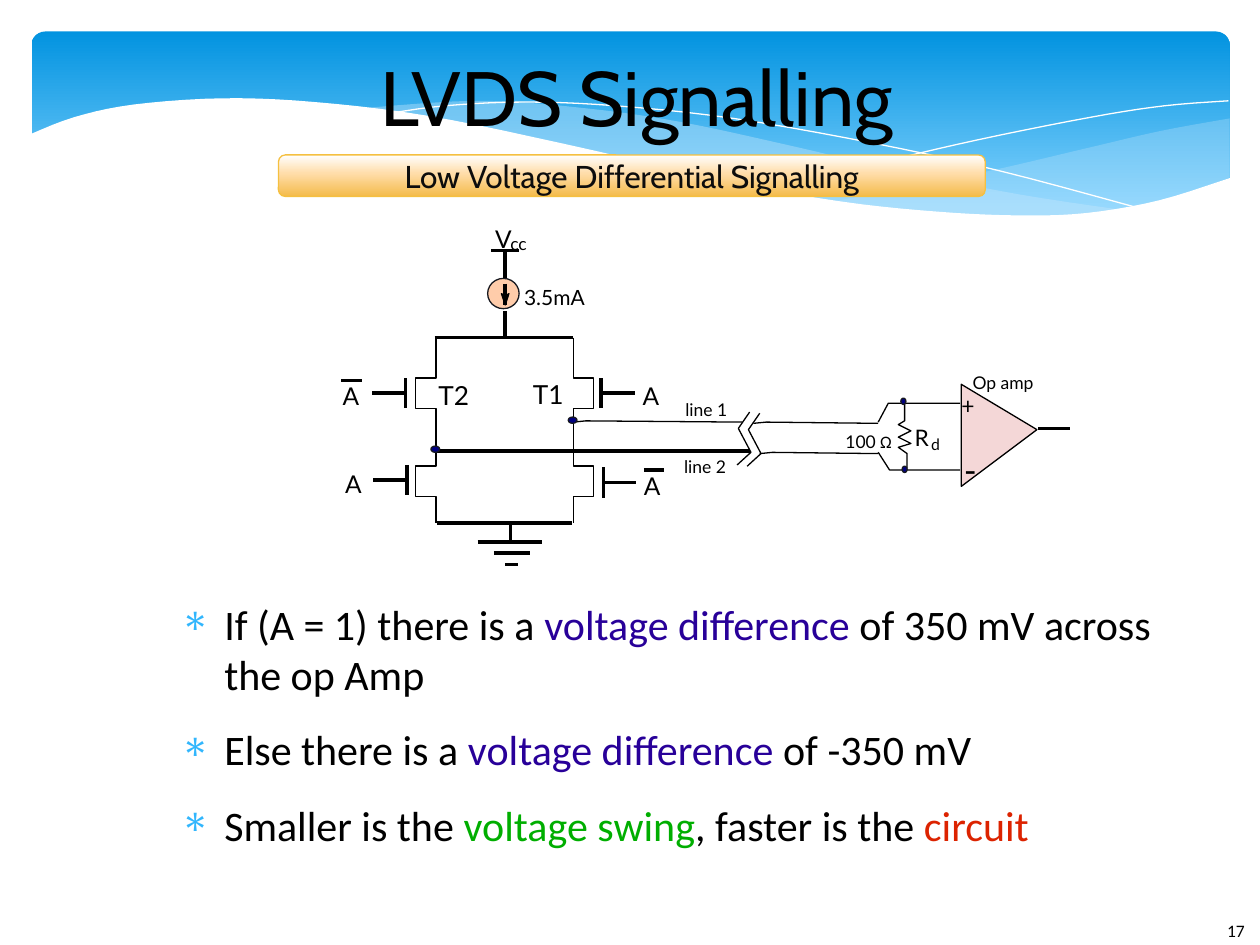
from dataclasses import dataclass

import pptx
import pptx.dml.color
import pptx.enum.shapes
import pptx.enum.text
import pptx.oxml
import pptx.oxml.ns
import pptx.util

Inches = pptx.util.Inches
Pt = pptx.util.Pt
SHAPE = pptx.enum.shapes.MSO_SHAPE
ALIGN = pptx.enum.text.PP_ALIGN
ANCHOR = pptx.enum.text.MSO_ANCHOR
Point = tuple[float, float]
Box = tuple[float, float, float, float]

COLORS = {
    "black": "000000", "white": "FFFFFF", "ink": "0D0D0D", "edge": "16181F",
    "wave": "C6E7FC", "sky": "83D3FE", "blue": "0293E0", "bullet": "31B6FD",
    "violet": "280099", "green": "00AE00", "red": "DC2300",
    "peach": "FFCCAA", "navy": "000080", "pink": "F4D7D7",
    "cream": "FFDDAA", "amber": "F4BB4A", "gold": "F5C040",
}


@dataclass
class Run:
    text: str
    size: float
    font: str = "Lato"
    color: str = "black"


@dataclass
class Label:
    x: float
    y: float
    w: float
    h: float
    runs: list[Run]


@dataclass
class Wave:
    points: list[Point]
    opacity: int


def rgb(name: str) -> pptx.dml.color.RGBColor:
    return pptx.dml.color.RGBColor.from_string(COLORS[name])


def paint(s, fill: str | None, line: str | None, width: float = 0) -> None:
    s.shadow.inherit = False
    if fill:
        s.fill.solid()
        s.fill.fore_color.rgb = rgb(fill)
    else:
        s.fill.background()
    if line:
        s.line.color.rgb = rgb(line)
        s.line.width = Pt(width)
    else:
        s.line.fill.background()


def gradient(s, stops: list[tuple[int, str]]) -> None:
    s.fill.gradient()
    s.fill.gradient_angle = 270
    gs_list = s._element.spPr.find(".//" + pptx.oxml.ns.qn("a:gsLst"))
    for gs in list(gs_list):
        gs_list.remove(gs)
    for pos, color in stops:
        gs_list.append(pptx.oxml.parse_xml(
            f'<a:gs {pptx.oxml.ns.nsdecls("a")} pos="{pos * 1000}">'
            f'<a:srgbClr val="{COLORS[color]}"/></a:gs>'))


def add_shape(shapes, kind, box: Box, fill: str | None, line: str | None, width: float = 0):
    s = shapes.add_shape(kind, *map(Inches, box))
    paint(s, fill, line, width)
    return s


def add_path(shapes, points: list[Point], fill: str | None, line: str | None, closed: bool):
    emu = [(Inches(x), Inches(y)) for x, y in points]
    builder = shapes.build_freeform(*emu[0])
    builder.add_line_segments(emu[1:], close=closed)
    s = builder.convert_to_shape()
    paint(s, fill, line)
    return s


def add_wire(shapes, points: list[Point], color: str = "black") -> None:
    if len(points) > 2:
        add_path(shapes, points, None, color, False)
        return
    (x1, y1), (x2, y2) = points
    s = shapes.add_connector(pptx.enum.shapes.MSO_CONNECTOR.STRAIGHT,
                             Inches(x1), Inches(y1), Inches(x2), Inches(y2))
    s.line.color.rgb = rgb(color)
    s.line.width = Pt(0)
    s._element.spPr.append(pptx.oxml.parse_xml(f'<a:effectLst {pptx.oxml.ns.nsdecls("a")}/>'))


def smooth(points: list[Point], steps: int = 5) -> list[Point]:
    padded = [points[0], *points, points[-1]]
    result = [points[0]]
    for a, b, c, d in zip(padded, padded[1:], padded[2:], padded[3:]):
        for i in range(1, steps + 1):
            t = i / steps
            result.append(tuple(
                0.5 * (2 * q + (r - p) * t + (2 * p - 5 * q + 4 * r - v) * t ** 2
                       + (3 * q - p - 3 * r + v) * t ** 3)
                for p, q, r, v in zip(a, b, c, d)))
    return result


def add_runs(p, runs: list[Run]) -> None:
    for run in runs:
        r = p.add_run()
        r.text = run.text
        r.font.size = Pt(run.size)
        r.font.name = run.font
        r.font.color.rgb = rgb(run.color)


def add_text(shapes, box: Box, wrap: bool = True, inset: float = 0):
    tf = shapes.add_textbox(*map(Inches, box)).text_frame
    tf.word_wrap = wrap
    tf.margin_left = tf.margin_right = Inches(inset)
    tf.margin_top = tf.margin_bottom = Inches(inset / 2)
    return tf


def add_label(shapes, label: Label) -> None:
    tf = add_text(shapes, (label.x, label.y, label.w, label.h), wrap=False)
    tf.auto_size = pptx.enum.text.MSO_AUTO_SIZE.SHAPE_TO_FIT_TEXT
    add_runs(tf.paragraphs[0], label.runs)


def add_bullet(p, runs: list[Run]) -> None:
    p.space_after = Pt(14.1)
    add_runs(p, runs)
    ppr = p._p.get_or_add_pPr()
    ppr.set("marL", str(Inches(0.47)))
    ppr.set("indent", str(Inches(-0.35)))
    ns = pptx.oxml.ns.nsdecls("a")
    ppr.append(pptx.oxml.parse_xml(
        f'<a:buClr {ns}><a:srgbClr val="{COLORS["bullet"]}"/></a:buClr>'))
    ppr.append(pptx.oxml.parse_xml(f'<a:buChar {ns} char="∗"/>'))


WAVES = [
    Wave(smooth([(9.76, 0.94), (9.21, 1.04), (8.61, 1.18), (7.79, 1.37), (6.61, 1.6)])
         + smooth([(6.61, 1.6), (7.32, 1.68), (8.03, 1.72), (8.63, 1.7), (9.21, 1.6), (9.76, 1.41)]), 29),
    Wave(smooth([(8.93, 1.67), (8.07, 1.54), (7.06, 1.34), (6.29, 1.16), (5.41, 0.97),
                 (4.65, 0.86), (3.8, 0.8), (2.86, 0.86)])
         + smooth([(2.86, 0.86), (3.62, 0.97), (4.49, 1.16), (5.66, 1.43), (6.65, 1.61),
                   (7.48, 1.7), (8.18, 1.73), (8.93, 1.67)]), 40),
]
STREAKS = [
    [(3.09, 0.9), (3.53, 0.84), (4.16, 0.81), (4.89, 0.84), (5.82, 0.94),
     (6.95, 1.14), (7.95, 1.36), (9.07, 1.66)],
    [(6.13, 1.51), (6.95, 1.3), (7.76, 1.11), (8.66, 0.93), (9.24, 0.84), (9.75, 0.8)],
]
HORIZON = [(9.77, 1.41), (9.2, 1.59), (8.63, 1.69), (8.09, 1.71), (7.44, 1.68), (6.68, 1.6),
           (5.79, 1.44), (4.47, 1.14), (3.4, 0.92), (2.5, 0.81), (1.77, 0.78), (1.06, 0.83),
           (0.59, 0.93), (0.23, 1.07)]

RAILS = [
    [(3.9, 1.99), (4.12, 1.99)], [(4.01, 2), (4.01, 2.21)], [(4.01, 2.25), (4.01, 2.42)],
    [(4.01, 2.47), (4.01, 2.67)], [(3.45, 2.68), (4.55, 2.68)], [(3.47, 4.15), (4.54, 4.15)],
    [(4.05, 4.15), (4.05, 4.31)], [(3.79, 4.3), (4.3, 4.3)], [(3.92, 4.39), (4.21, 4.39)],
    [(4.01, 4.48), (4.11, 4.48)],
]
BRANCHES = [
    [(x, 2.68), (x, 3), (gate, 3), (gate, 3.24), (x, 3.24), (x, 3.7),
     (gate, 3.7), (gate, 3.94), (x, 3.94), (x, 4.15)]
    for x, gate in [(3.46, 3.3), (4.55, 4.71)]
]
GATES = [
    wire
    for x, y, end in [(3.22, 3, 2.95), (3.23, 3.69, 2.96), (4.77, 3, 5.04), (4.79, 3.71, 5.05)]
    for wire in ([(x, y), (x, y + 0.24)], [(x, y + 0.12), (end, y + 0.12)])
]
BREAKS = [
    [(5.95 + d, 3.27 + d / 8), (5.86 + d, 3.4 + d / 8), (5.96 + d, 3.59 + d / 8), (5.85 + d, 3.69 + d / 8)]
    for d in (0, 0.08)
]
LINES = [
    [(4.55, 3.35), (4.65, 3.34), (5.89, 3.35)], [(3.46, 3.58), (5.95, 3.58)],
    [(5.98, 3.36), (6.08, 3.35), (6.97, 3.36)], [(6.03, 3.6), (6.13, 3.59), (6.97, 3.6)],
    [(6.97, 3.35), (7.05, 3.2), (7.62, 3.2)], [(6.97, 3.59), (7.06, 3.73), (7.62, 3.73)],
    [(7.18, 3.2), (7.18, 3.34), (7.13, 3.37), (7.23, 3.42), (7.13, 3.47), (7.23, 3.52),
     (7.13, 3.55), (7.2, 3.6), (7.2, 3.72)],
    [(8.24, 3.4), (8.49, 3.4)],
]
OVERBARS = [[(x, y), (x + 0.16, y)] for x, y in [(2.71, 3.02), (5.11, 3.73)]]
DOTS = [(3.42, 3.54, 0.07, 0.05), (4.51, 3.31, 0.07, 0.05),
        (7.15, 3.16, 0.04, 0.05), (7.16, 3.7, 0.04, 0.05)]
LABELS = [
    Label(3.93, 1.78, 0.22, 0.26, [Run("V", 14)]),
    Label(4.05, 1.85, 0.2, 0.18, [Run("cc", 10)]),
    Label(4.16, 2.26, 0.6, 0.24, [Run("3.5mA", 12)]),
    *[Label(x, y, 0.23, 0.28, [Run("A", 14)])
      for x, y in [(2.72, 3.02), (5.11, 3.74), (5.1, 3.02), (2.74, 3.72)]],
    Label(7.63, 3.11, 0.19, 0.24, [Run("+", 13)]),
    Label(7.65, 3.56, 0.23, 0.39, [Run("-", 20)]),
    Label(7.72, 2.95, 0.55, 0.18, [Run("Op amp", 10)]),
    Label(6.71, 3.42, 0.38, 0.17, [Run("100 ", 10), Run("Ω", 10, "Calibri")]),
    Label(5.44, 3.17, 0.43, 0.21, [Run("line 1", 10)]),
    Label(5.43, 3.62, 0.43, 0.21, [Run("line 2", 10)]),
    Label(4.23, 3, 0.36, 0.3, [Run("T1", 15)]),
    Label(3.48, 3.01, 0.36, 0.3, [Run("T2", 15)]),
    Label(7.26, 3.36, 0.21, 0.24, [Run("R", 13)]),
    Label(7.39, 3.45, 0.13, 0.17, [Run("d", 9)]),
]
BULLETS = [
    [("If (A = 1) there is a", "black"), (" voltage difference", "violet"),
     (" of 350 mV across the op Amp", "black")],
    [("Else there is a ", "black"), ("voltage difference", "violet"), (" of -350 mV", "black")],
    [("Smaller is the ", "black"), ("voltage swing", "green"), (", faster is the ", "black"),
     ("circuit", "red")],
]


def draw_banner(shapes) -> None:
    s = add_shape(shapes, SHAPE.ROUNDED_RECTANGLE, (0.25, 0.25, 9.51, 1.56), None, None)
    s.adjustments[0] = 0.07
    gradient(s, [(0, "blue"), (90, "sky")])
    for wave in WAVES:
        s = add_path(shapes, wave.points, "wave", None, True)
        color = s._element.spPr.find(".//" + pptx.oxml.ns.qn("a:srgbClr"))
        color.append(pptx.oxml.parse_xml(
            f'<a:alpha {pptx.oxml.ns.nsdecls("a")} val="{wave.opacity * 1000}"/>'))
    for streak in STREAKS:
        add_wire(shapes, smooth(streak), "white")
    add_path(shapes, smooth(HORIZON) + [(0.23, 2.24), (9.77, 2.24)], "white", None, True)


def draw_circuit(shapes) -> None:
    add_shape(shapes, SHAPE.OVAL, (3.87, 2.21, 0.25, 0.24), "peach", "edge")
    add_path(shapes, [(4.01, 2.35), (3.98, 2.33), (4.01, 2.42), (4.04, 2.33)], "black", "black", True)
    add_path(shapes, [(7.63, 3.05), (7.63, 3.86), (8.23, 3.41)], "pink", "black", True)
    for wire in RAILS + BRANCHES + GATES + BREAKS + LINES + OVERBARS:
        add_wire(shapes, wire)
    for dot in DOTS:
        add_shape(shapes, SHAPE.OVAL, dot, "navy", "edge")
    for label in LABELS:
        add_label(shapes, label)


def draw_text(shapes) -> None:
    tf = add_text(shapes, (9.64, 7.25, 0.61, 0.4), inset=0.1)
    add_runs(tf.paragraphs[0], [Run("17", 10, "Calibri")])
    tf = add_text(shapes, (1, 0.25, 8.11, 1.02))
    tf.vertical_anchor = ANCHOR.MIDDLE
    tf.paragraphs[0].alignment = ALIGN.CENTER
    add_runs(tf.paragraphs[0], [Run("LVDS Signalling", 44, "Cabin")])
    tf = add_text(shapes, (1.31, 4.75, 8.11, 2.25))
    for i, parts in enumerate(BULLETS):
        p = tf.add_paragraph() if i else tf.paragraphs[0]
        add_bullet(p, [Run(text, 24, "Calibri", color) for text, color in parts])
    s = add_shape(shapes, SHAPE.ROUNDED_RECTANGLE, (2.21, 1.23, 5.61, 0.33), None, "gold", 0.75)
    gradient(s, [(0, "white"), (44, "cream"), (100, "amber")])
    tf = s.text_frame
    tf.vertical_anchor = ANCHOR.MIDDLE
    tf.paragraphs[0].alignment = ALIGN.CENTER
    add_runs(tf.paragraphs[0], [Run("Low Voltage Differential Signalling", 18, "Cabin", "ink")])


def main() -> None:
    prs = pptx.Presentation()
    prs.slide_width, prs.slide_height = Inches(10), Inches(7.5)
    shapes = prs.slides.add_slide(prs.slide_layouts[6]).shapes
    draw_banner(shapes)
    draw_circuit(shapes)
    draw_text(shapes)
    prs.save("out.pptx")


if __name__ == "__main__":
    main()
